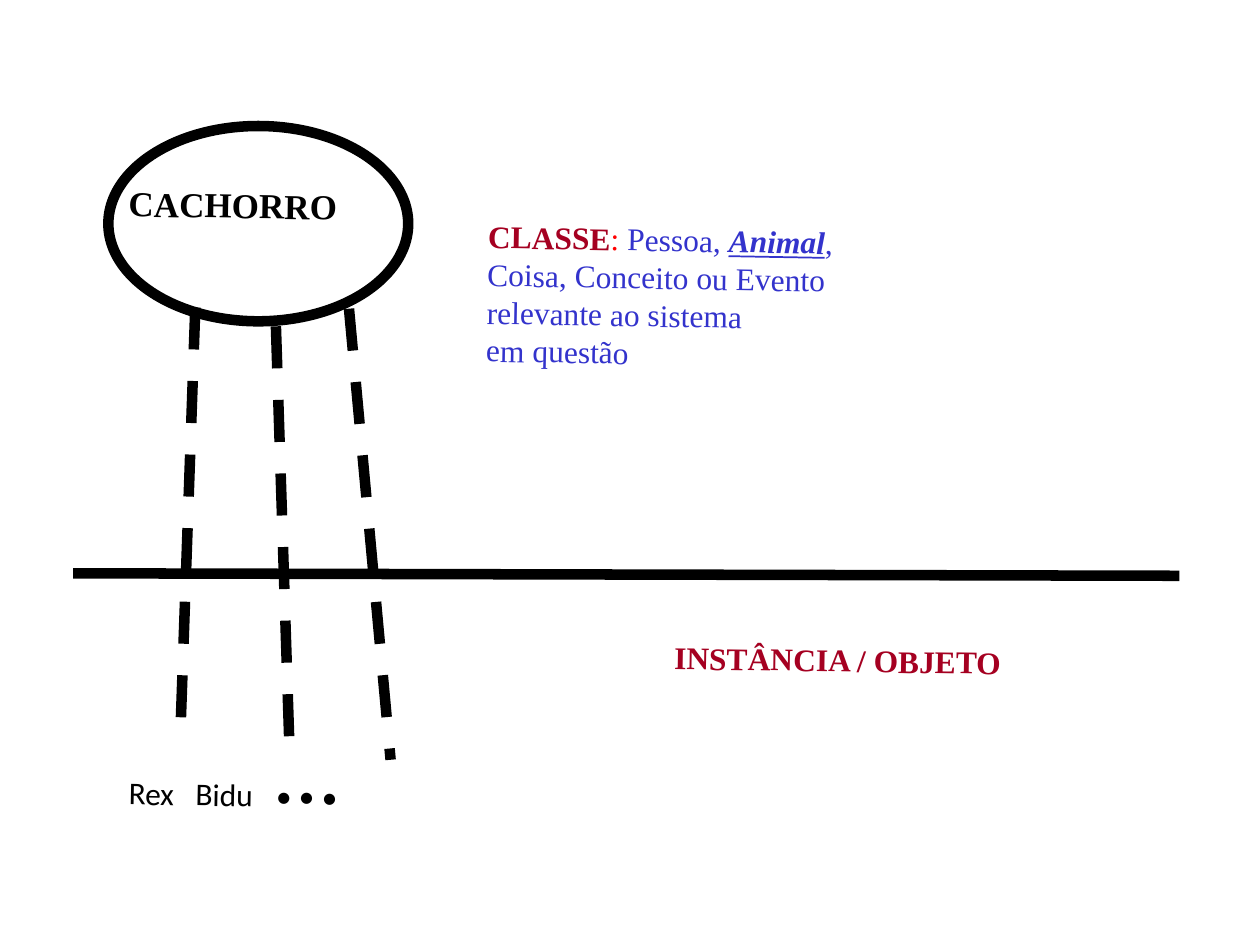
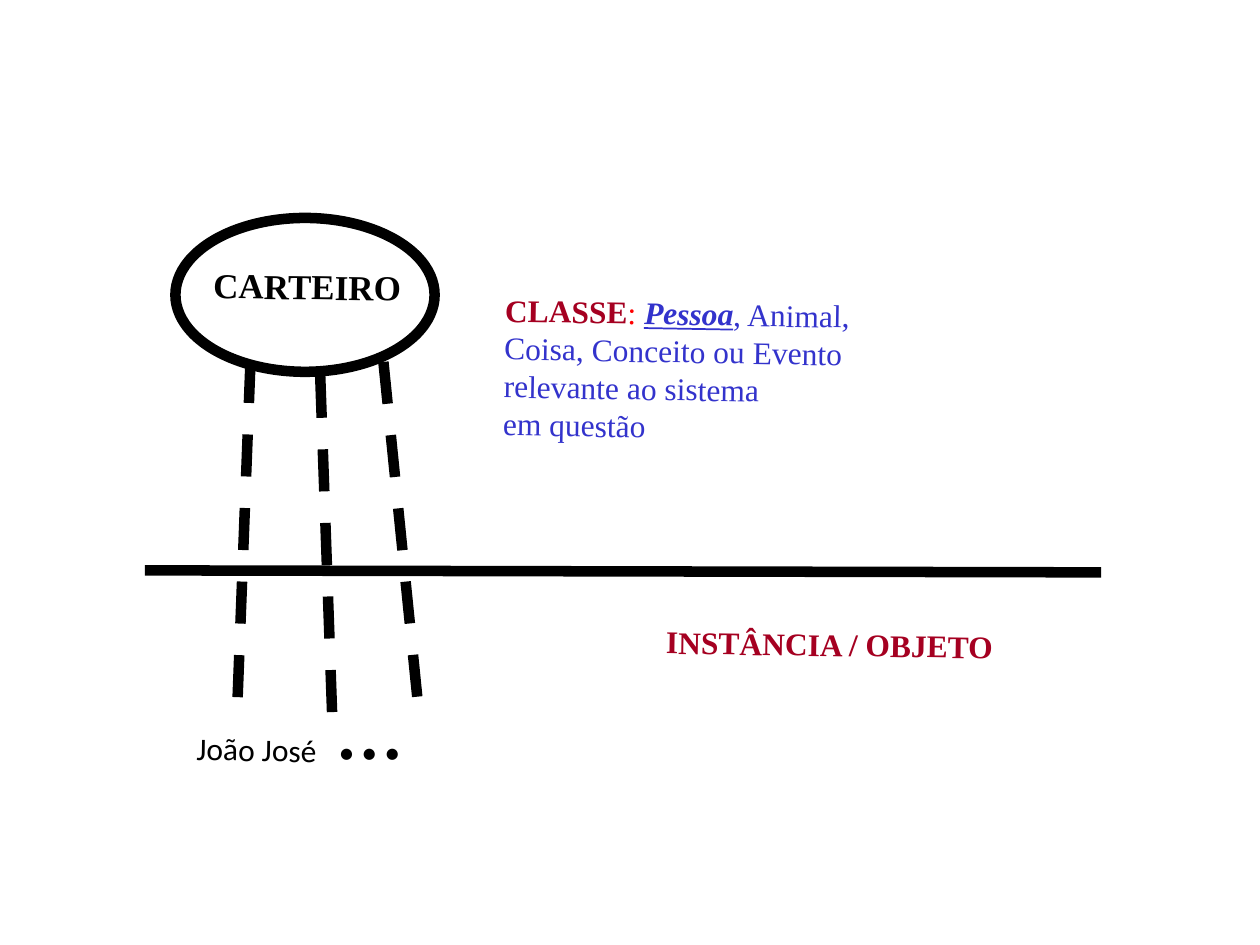
"""Builds two slides that show a class above the line and its instances below."""
from lxml import etree
from pptx import Presentation
from pptx.dml.color import RGBColor
from pptx.enum.dml import MSO_LINE
from pptx.enum.shapes import MSO_CONNECTOR, MSO_SHAPE
from pptx.oxml.ns import qn
from pptx.util import Emu, Pt

OVAL = MSO_SHAPE.OVAL
STRAIGHT = MSO_CONNECTOR.STRAIGHT
DASH = MSO_LINE.DASH

EMU_PER_PX = 9144
SLIDE_SIZE = (1000, 750)
DESIGN_SIZE = (892, 575)
BLANK = 6
STROKE = Pt(6)
TILT = 1
INSET = (10, 5)
SERIF, SANS = "Times New Roman", "Calibri"
COLORS = {"ink": "000000", "term": "A50021", "colon": "FF0000", "body": "3333CC"}

ELLIPSE = (28, 0, 238, 155)
HORIZON = (0, 355, 878, 357)
INSTANCE_LINES = [(97, 144, 85, 487), (161, 159, 172, 502), (219, 145, 252, 503)]
CLASS_NAME = (27, 41, 223, 55)
DEFINITION = (318, 71, 445, 216)
INSTANCE_LABEL = (467, 405, 425, 64)
INSTANCE_NAMES = (23, 511, 296, 64)

KINDS = ["Pessoa, Animal,", "Coisa, Conceito ou Evento", "relevante ao sistema", "em questão"]
EXAMPLES = [
    {"box": (58, 100, 892, 575), "name": "CACHORRO", "name_indent": 7, "kind": "Animal",
     "instances": "Rex\tBidu\t• • •", "tabs": [53, 117]},
    {"box": (115, 173, 771, 453), "name": "CARTEIRO", "name_indent": 21, "kind": "Pessoa",
     "instances": "João José\t• • •", "tabs": [113]},
]


def px(length):
    """Turn px into EMU."""
    return Emu(round(length * EMU_PER_PX))


def fit(box, area):
    """Scale two x, y pairs of the design to a box, without its offset."""
    ratios = (box[2] / DESIGN_SIZE[0], box[3] / DESIGN_SIZE[1])
    return [value * ratios[index % 2] for index, value in enumerate(area)]


def rgb(color):
    """Look up a named colour."""
    return RGBColor.from_string(COLORS[color])


def style_span(span, color, size=18, font=SERIF, bold=False, emphasis=False):
    """Format one run of text."""
    span.font.name = font
    span.font.size = Pt(size)
    span.font.color.rgb = rgb(color)
    span.font.bold = bold or emphasis
    span.font.italic = emphasis
    span.font.underline = emphasis


def add_text(page, box, area, text="", indent=0, **style):
    """Add a slightly tilted text box and return its text frame."""
    left, top, width, height = fit(box, area)
    label = page.shapes.add_textbox(px(box[0] + left), px(box[1] + top), px(width), px(height))
    label.rotation = TILT
    frame = label.text_frame
    frame.word_wrap = True
    frame.margin_left, frame.margin_right = px(INSET[0] + indent), 0
    frame.margin_top = frame.margin_bottom = px(INSET[1])
    if text:
        frame.text = text
        style_span(frame.paragraphs[0].runs[0], **style)
    return frame


def add_line(page, box, ends, dash=None):
    """Add a thick straight line."""
    x1, y1, x2, y2 = fit(box, ends)
    line = page.shapes.add_connector(
        STRAIGHT, px(box[0] + x1), px(box[1] + y1), px(box[0] + x2), px(box[1] + y2))
    line.line.color.rgb = rgb("ink")
    line.line.width = STROKE
    if dash:
        line.line.dash_style = dash
    etree.SubElement(line._element.spPr, qn("a:effectLst"))


def add_class(page, box, example):
    """Add the named ellipse that stands for the class."""
    add_text(page, box, CLASS_NAME, example["name"], example["name_indent"],
             color="ink", size=20, bold=True)
    left, top, width, height = fit(box, ELLIPSE)
    ellipse = page.shapes.add_shape(
        OVAL, px(box[0] + left), px(box[1] + top), px(width), px(height))
    ellipse.shadow.inherit = False
    ellipse.fill.background()
    ellipse.line.color.rgb = rgb("ink")
    ellipse.line.width = STROKE


def add_definition(page, box, kind):
    """Add the definition of a class with one kind emphasised."""
    before, word, after = KINDS[0].partition(kind)
    spans = [("CLASSE", {"color": "term", "bold": True}), (": ", {"color": "colon"}),
             (before, {"color": "body"}), (word, {"color": "body", "emphasis": True}),
             (after, {"color": "body"})]
    frame = add_text(page, box, DEFINITION)
    for text, style in spans:
        if text:
            span = frame.paragraphs[0].add_run()
            span.text = text
            style_span(span, **style)
    for text in KINDS[1:]:
        para = frame.add_paragraph()
        para.text = text
        style_span(para.runs[0], "body")


def add_instances(page, box, example):
    """Add the instance label, the names and the dashed lines down to them."""
    add_text(page, box, INSTANCE_LABEL, "INSTÂNCIA / OBJETO", color="term", bold=True)
    frame = add_text(page, box, INSTANCE_NAMES, example["instances"], 11,
                     color="ink", font=SANS)
    stops = etree.SubElement(frame.paragraphs[0]._p.get_or_add_pPr(), qn("a:tabLst"))
    for position in example["tabs"]:
        etree.SubElement(stops, qn("a:tab"), pos=str(px(position)), algn="l")
    for ends in INSTANCE_LINES:
        add_line(page, box, ends, DASH)


def add_example(deck, example):
    """Add one slide with a class and its instances."""
    page = deck.slides.add_slide(deck.slide_layouts[BLANK])
    box = example["box"]
    add_class(page, box, example)
    add_definition(page, box, example["kind"])
    add_line(page, box, HORIZON)
    add_instances(page, box, example)


def main():
    """Build and save the deck."""
    deck = Presentation()
    deck.slide_width, deck.slide_height = map(px, SLIDE_SIZE)
    for example in EXAMPLES:
        add_example(deck, example)
    deck.save("out.pptx")


if __name__ == "__main__":
    main()
